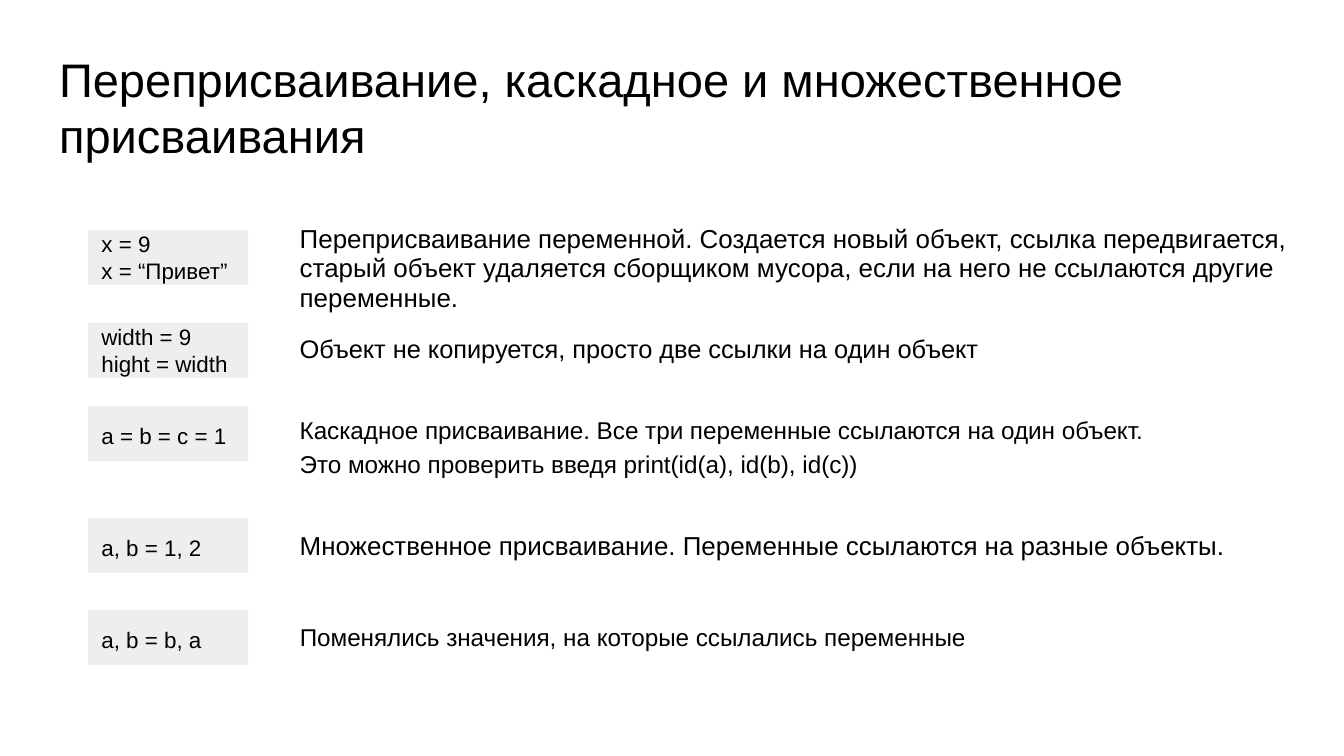
from dataclasses import dataclass

from pptx import Presentation
from pptx.dml.color import RGBColor
from pptx.enum.shapes import MSO_SHAPE
from pptx.enum.text import MSO_ANCHOR, PP_ALIGN
from pptx.util import Inches, Pt

RECTANGLE = MSO_SHAPE.RECTANGLE
TOP, MIDDLE = MSO_ANCHOR.TOP, MSO_ANCHOR.MIDDLE
LEFT = PP_ALIGN.LEFT

# Grid: square cells, 100 columns across a 16:9 slide
CELL = Inches(0.1)
COLUMNS, ROWS = 100, 56.25
CODE_COLUMN, CODE_WIDTH, CODE_HEIGHT = 6.56, 11.9, 4.1
NOTE_COLUMN = 21.32
FONT, INK, CODE_FILL = "Arial", "000000", "EEEEEE"
CODE_SIZE = 12


@dataclass
class Example:
    row: float
    code: str
    code_spacing: float
    note: str
    note_row: float
    note_width: float
    note_height: float
    note_size: float
    note_spacing: float


EXAMPLES = [
    Example(17.1, "х = 9\nх = “Привет”", 1,
            "Переприсваивание переменной. Создается новый объект, ссылка "
            "передвигается, старый объект удаляется сборщиком мусора, если "
            "на него не ссылаются другие переменные.",
            15.7, 77.4, 8.7, 13.9, 0.95),
    Example(24, "width = 9\nhight = width", 1,
            "Объект не копируется, просто две ссылки на один объект",
            23.96, 78, 4.1, 13.6, 0.95),
    Example(30.24, "a = b = c = 1", 1.15,
            "Каскадное присваивание. Все три переменные ссылаются на один "
            "объект.\nЭто можно проверить введя print(id(a), id(b), id(c))",
            29.6, 78, 6.3, 13, 1.15),
    Example(38.54, "a, b = 1, 2", 1.15,
            "Множественное присваивание. Переменные ссылаются на разные объекты.",
            38.54, 78, 4.1, 13.9, 0.95),
    Example(45.4, "a, b = b, a", 1.15,
            "Поменялись значения, на которые ссылались переменные",
            45.3, 55.5, 4.2, 13, 1),
]


def cells(*counts: float) -> list[int]:
    return [round(count * CELL) for count in counts]


def color(value: str) -> RGBColor:
    return RGBColor.from_string(value)


def write(shape, text: str, size: float, spacing: float = 1, anchor=TOP) -> None:
    frame = shape.text_frame
    frame.word_wrap = True
    frame.vertical_anchor = anchor
    frame.margin_left = frame.margin_right = CELL
    frame.margin_top = frame.margin_bottom = CELL
    frame.text = text
    for para in frame.paragraphs:
        para.alignment = LEFT
        para.line_spacing = spacing
        for span in para.runs:
            span.font.name = FONT
            span.font.size = Pt(size)
            span.font.color.rgb = color(INK)


def draw_example(page, example: Example) -> None:
    # Code on a grey panel
    panel = page.shapes.add_shape(
        RECTANGLE, *cells(CODE_COLUMN, example.row, CODE_WIDTH, CODE_HEIGHT))
    panel.shadow.inherit = False
    panel.fill.solid()
    panel.fill.fore_color.rgb = color(CODE_FILL)
    panel.line.fill.background()
    write(panel, example.code, CODE_SIZE, example.code_spacing, MIDDLE)

    # Explanation beside it
    note = page.shapes.add_textbox(*cells(
        NOTE_COLUMN, example.note_row, example.note_width, example.note_height))
    write(note, example.note, example.note_size, example.note_spacing)


def main() -> None:
    deck = Presentation()
    deck.slide_width, deck.slide_height = cells(COLUMNS, ROWS)
    page = deck.slides.add_slide(deck.slide_layouts[6])

    # Title
    title = page.shapes.add_textbox(*cells(3.41, 2.76, 93.2, 6.3))
    write(title, "Переприсваивание, каскадное и множественное присваивания", 25.2)

    # Assignment examples
    for example in EXAMPLES:
        draw_example(page, example)

    deck.save("out.pptx")


if __name__ == "__main__":
    main()
